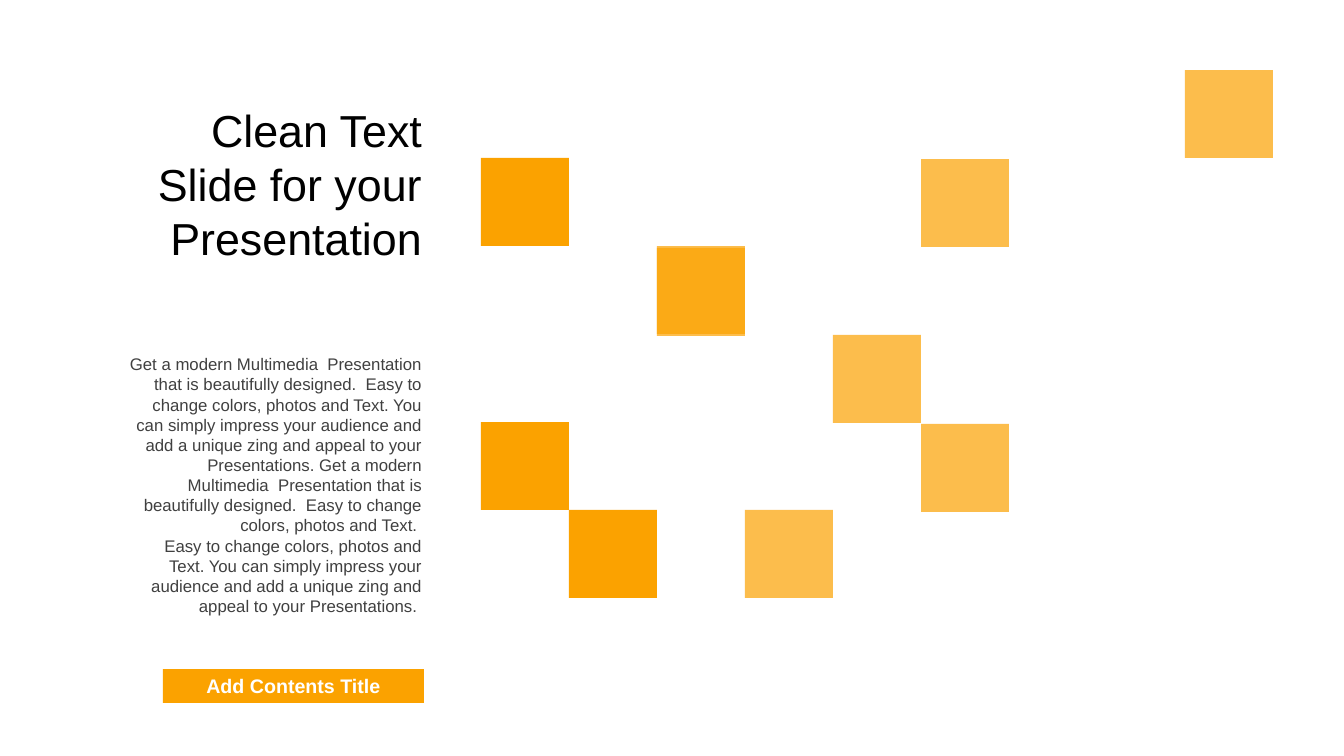
import pptx
import pptx.dml.color
import pptx.enum.shapes
import pptx.enum.text
import pptx.oxml.ns
import pptx.util
from lxml import etree

RGBColor = pptx.dml.color.RGBColor
ALIGN = pptx.enum.text.PP_ALIGN
ANCHOR = pptx.enum.text.MSO_ANCHOR

ORANGE = RGBColor(0xFB, 0xA2, 0x00)
BLACK = RGBColor(0x00, 0x00, 0x00)
GRAY = RGBColor(0x40, 0x40, 0x40)
WHITE = RGBColor(0xFF, 0xFF, 0xFF)

PX_PER_INCH = 100.8
TILE = 88
GRID_LEFT, GRID_TOP = 481, 70

# column, row, downward shift in px
TINTED_TILES = [
    (2, 2, 0), (3, 5, 0), (4, 3, 1), (8, 0, 0),
    (5, 1, 1), (2, 2, 2), (5, 4, 2),
]
SOLID_TILES = [(0, 1, 0), (0, 4, 0), (1, 5, 0)]

TITLE = "Clean Text Slide for your Presentation"
BODY = [
    "Get a modern Multimedia  Presentation that is beautifully designed.  "
    "Easy to change colors, photos and Text. You can simply impress your "
    "audience and add a unique zing and appeal to your Presentations. "
    "Get a modern Multimedia  Presentation that is beautifully designed.  "
    "Easy to change colors, photos and Text. ",
    "Easy to change colors, photos and Text. You can simply impress your "
    "audience and add a unique zing and appeal to your Presentations. ",
]
LABEL = "Add Contents Title"


def px(length):
    return pptx.util.Emu(round(length * 914400 / PX_PER_INCH))


def add_rectangle(page, left, top, width, height, opacity=100):
    shape = page.shapes.add_shape(
        pptx.enum.shapes.MSO_SHAPE.RECTANGLE,
        px(left), px(top), px(width), px(height))
    shape.shadow.inherit = False
    shape.fill.solid()
    shape.fill.fore_color.rgb = ORANGE
    shape.line.fill.background()
    if opacity < 100:
        color = shape.fill._xPr.find(".//" + pptx.oxml.ns.qn("a:srgbClr"))
        alpha = etree.SubElement(color, pptx.oxml.ns.qn("a:alpha"))
        alpha.set("val", str(opacity * 1000))
    return shape


def add_tiles(page, tiles, opacity=100):
    for column, row, shift in tiles:
        add_rectangle(page, GRID_LEFT + column * TILE,
                      GRID_TOP + row * TILE + shift, TILE, TILE, opacity)


def add_text_box(page, left, top, width, height):
    return page.shapes.add_textbox(px(left), px(top), px(width), px(height))


def write_text(box, *texts, size, color, align, bold=False, anchor=ANCHOR.TOP):
    frame = box.text_frame
    frame.word_wrap = True
    frame.auto_size = pptx.enum.text.MSO_AUTO_SIZE.SHAPE_TO_FIT_TEXT
    frame.vertical_anchor = anchor
    for index, text in enumerate(texts):
        para = frame.add_paragraph() if index else frame.paragraphs[0]
        para.alignment = align
        span = para.add_run()
        span.text = text
        span.font.name = "Arial"
        span.font.size = pptx.util.Pt(size)
        span.font.bold = bold
        span.font.color.rgb = color


def main():
    deck = pptx.Presentation()
    deck.slide_width, deck.slide_height = px(1344), px(756)
    page = deck.slides.add_slide(deck.slide_layouts[6])

    add_tiles(page, TINTED_TILES, opacity=70)
    add_tiles(page, SOLID_TILES)

    write_text(add_text_box(page, 91, 97, 341, 173), TITLE,
               size=32, color=BLACK, align=ALIGN.RIGHT, anchor=ANCHOR.MIDDLE)
    write_text(add_text_box(page, 115, 349, 317, 275), *BODY,
               size=12, color=GRAY, align=ALIGN.RIGHT)
    write_text(add_rectangle(page, 163, 669, 261, 34), LABEL,
               size=14, color=WHITE, align=ALIGN.CENTER, bold=True)

    deck.save("out.pptx")


if __name__ == "__main__":
    main()
